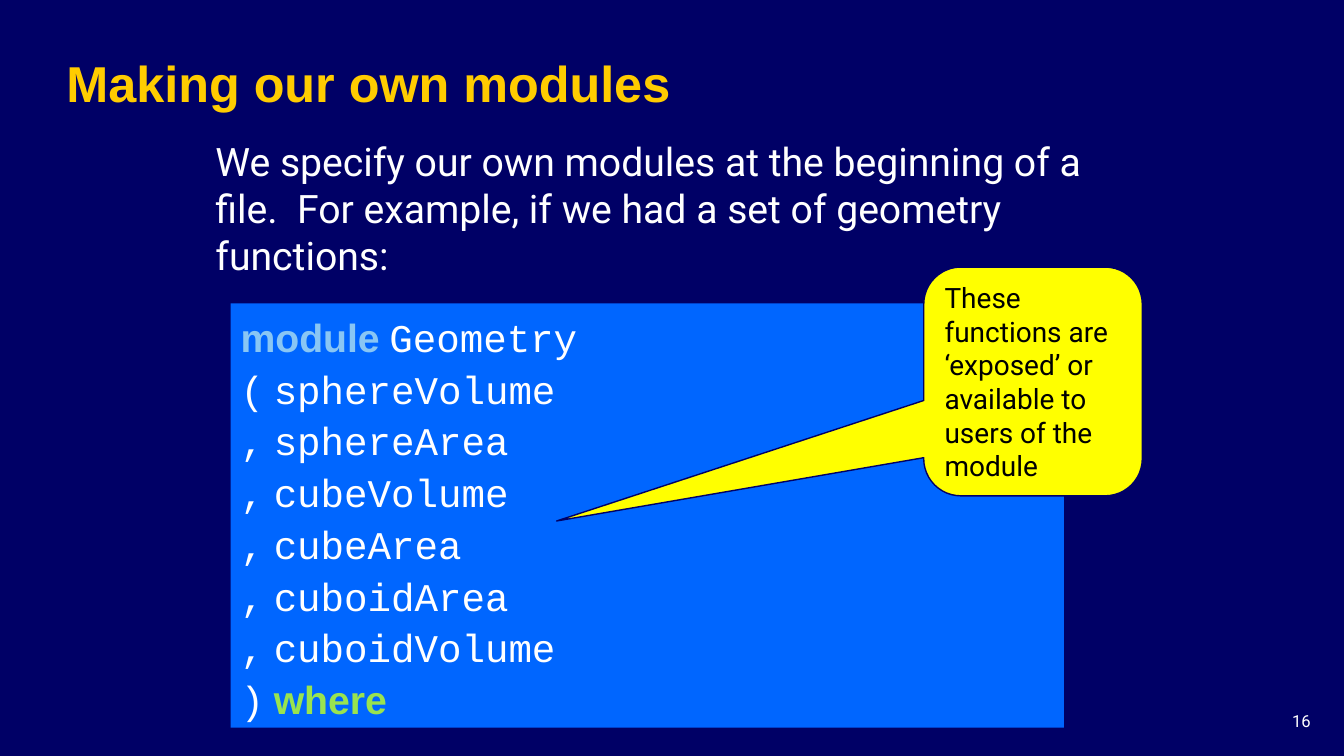
import pptx
import pptx.util
import pptx.dml.color
import pptx.enum.shapes
import pptx.enum.text
from dataclasses import dataclass

Pt = pptx.util.Pt
RGBColor = pptx.dml.color.RGBColor
Anchor = pptx.enum.text.MSO_ANCHOR
Align = pptx.enum.text.PP_ALIGN
Shape = pptx.enum.shapes.MSO_SHAPE


@dataclass(frozen=True)
class Theme:
    background: str = "000066"
    title: str = "FFCC00"
    text: str = "FFFFFF"
    panel: str = "0066FF"
    module_keyword: str = "89C6F4"
    where_keyword: str = "99E34F"
    callout: str = "FFFF00"
    callout_text: str = "000000"
    heading_font: str = "Arial"
    body_font: str = "Roboto"
    code_font: str = "Courier New"
    title_size: float = 36
    body_size: float = 28
    callout_size: float = 20
    number_size: float = 11.9


class SlideBuilder:
    def __init__(self, presentation, theme):
        self.theme = theme
        self.slide = presentation.slides.add_slide(presentation.slide_layouts[5])
        background = self.slide.background.fill
        background.solid()
        background.fore_color.rgb = RGBColor.from_string(theme.background)

    def add_lines(self, shape, lines, size, anchor, align=Align.LEFT, spacing=None):
        """Each line is a list of (text, font, colour, bold) runs."""
        frame = shape.text_frame
        frame.word_wrap = True
        frame.auto_size = pptx.enum.text.MSO_AUTO_SIZE.NONE
        frame.vertical_anchor = anchor
        frame.margin_left = frame.margin_right = Pt(7.2)
        frame.margin_top = frame.margin_bottom = Pt(3.6)
        for index, line in enumerate(lines):
            paragraph = frame.add_paragraph() if index else frame.paragraphs[0]
            paragraph.alignment = align
            if spacing:
                paragraph.line_spacing = spacing
            for text, font, colour, bold in line:
                run = paragraph.add_run()
                run.text = text
                run.font.name = font
                run.font.size = Pt(size)
                run.font.bold = bold
                run.font.color.rgb = RGBColor.from_string(colour)

    def title(self, box, text):
        shape = self.slide.shapes.title
        shape.left, shape.top, shape.width, shape.height = map(Pt, box)
        run = (text, self.theme.heading_font, self.theme.title, True)
        self.add_lines(shape, [[run]], self.theme.title_size, Anchor.BOTTOM)

    def text(self, box, text, size, anchor, align=Align.LEFT):
        shape = self.slide.shapes.add_textbox(*map(Pt, box))
        run = (text, self.theme.body_font, self.theme.text, False)
        self.add_lines(shape, [[run]], size, anchor, align)

    def filled_shape(self, kind, box, fill, line=None):
        shape = self.slide.shapes.add_shape(kind, *map(Pt, box))
        shape.shadow.inherit = False
        shape.fill.solid()
        shape.fill.fore_color.rgb = RGBColor.from_string(fill)
        if line:
            shape.line.color.rgb = RGBColor.from_string(line)
            shape.line.width = Pt(1)
        else:
            shape.line.fill.background()
        return shape

    def code_panel(self, box, lines):
        shape = self.filled_shape(Shape.RECTANGLE, box, self.theme.panel)
        self.add_lines(shape, lines, self.theme.body_size, Anchor.MIDDLE, spacing=1.1)

    def callout(self, box, text, adjustments):
        shape = self.filled_shape(Shape.ROUNDED_RECTANGULAR_CALLOUT, box,
                                  self.theme.callout, self.theme.background)
        for index, value in enumerate(adjustments):
            shape.adjustments[index] = value
        run = (text, self.theme.body_font, self.theme.callout_text, False)
        self.add_lines(shape, [[run]], self.theme.callout_size, Anchor.MIDDLE)


def module_lines(theme, name, functions):
    """Lay out a module header with one exported function per line."""
    def code(text):
        return (text, theme.code_font, theme.text, False)

    def keyword(text, colour):
        return (text, theme.heading_font, colour, True)

    gap = (" ", theme.body_font, theme.text, False)
    exports = [[code("," if index else "("), gap, code(function)]
               for index, function in enumerate(functions)]
    return [[keyword("module", theme.module_keyword), gap, code(name)],
            *exports,
            [code(")"), gap, keyword("where", theme.where_keyword)]]


def main():
    presentation = pptx.Presentation()
    presentation.slide_width, presentation.slide_height = Pt(960.48), Pt(540)
    theme = Theme()
    builder = SlideBuilder(presentation, theme)

    # Slide number, title and introduction
    builder.text((879.8, 504, 64.1, 23.8), "16", theme.number_size,
                 Anchor.TOP, Align.RIGHT)
    builder.title((40.3, 30.2, 815.8, 54), "Making our own modules")
    builder.text((146.9, 94.3, 661, 108),
                 "We specify our own modules at the beginning of a file.  "
                 "For example, if we had a set of geometry functions:",
                 theme.body_size, Anchor.MIDDLE)

    # Module header
    functions = ["sphereVolume", "sphereArea", "cubeVolume",
                 "cubeArea", "cuboidArea", "cuboidVolume"]
    builder.code_panel((164.9, 216.7, 595.4, 303.1),
                       module_lines(theme, "Geometry", functions))

    # Callout pointing at the exported functions
    builder.callout((660.2, 190.8, 156.2, 163.4),
                    "These functions are ‘exposed’ or available to users of the module",
                    (-2.18, 0.61, 0.17))

    presentation.save("out.pptx")


if __name__ == "__main__":
    main()
